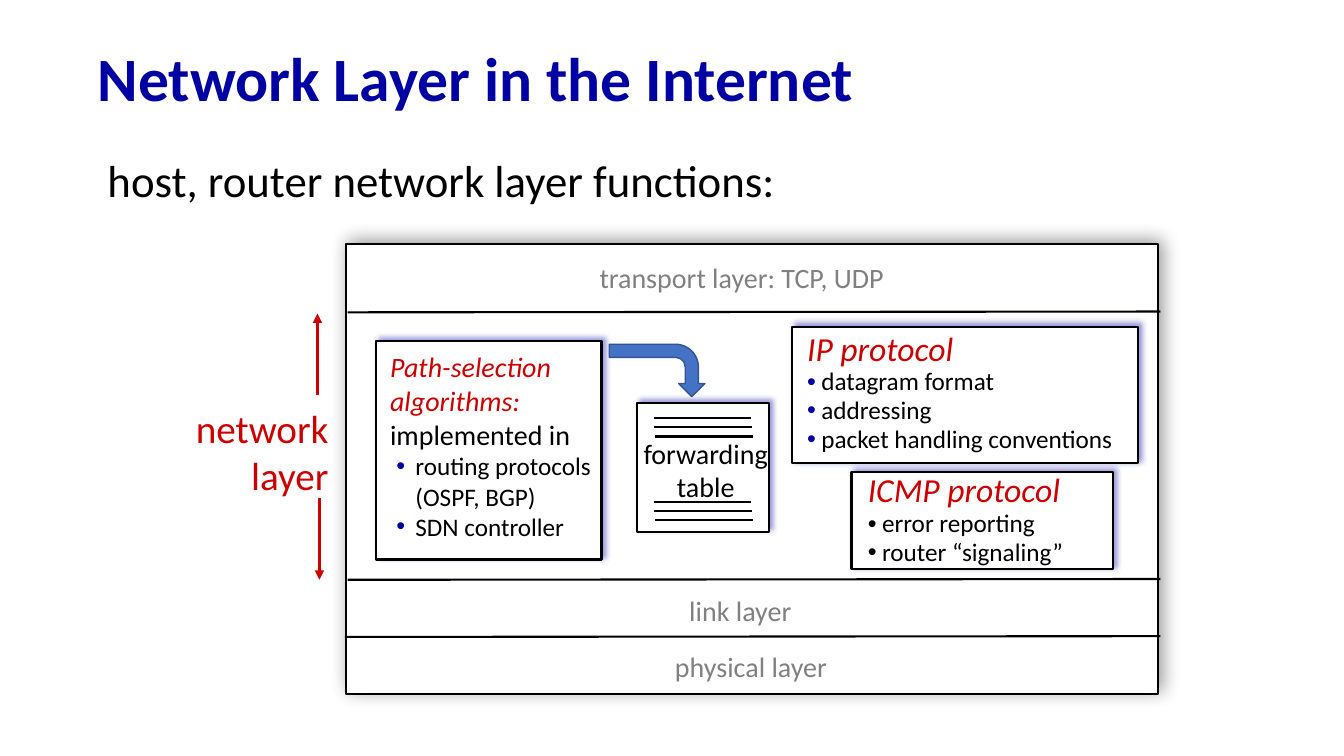
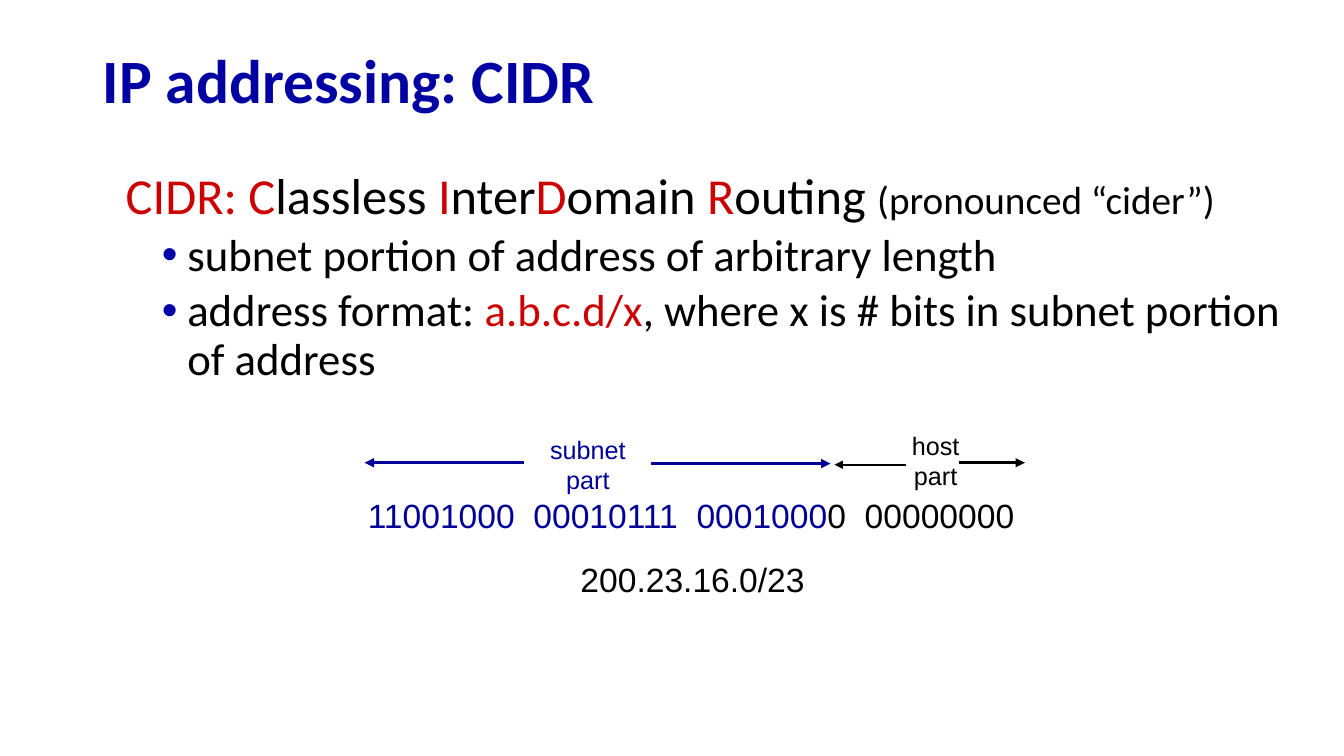
from dataclasses import dataclass

from lxml import etree
from pptx import Presentation
from pptx.dml.color import RGBColor
from pptx.enum.shapes import MSO_CONNECTOR, MSO_SHAPE
from pptx.enum.text import MSO_ANCHOR, MSO_AUTO_SIZE, PP_ALIGN
from pptx.oxml.ns import qn
from pptx.util import Cm, Pt

RECT = MSO_SHAPE.RECTANGLE
BENT = MSO_SHAPE.BENT_ARROW
STRAIGHT = MSO_CONNECTOR.STRAIGHT
MIDDLE = MSO_ANCHOR.MIDDLE
GROW = MSO_AUTO_SIZE.SHAPE_TO_FIT_TEXT
CENTER = PP_ALIGN.CENTER
RIGHT = PP_ALIGN.RIGHT


@dataclass(frozen=True)
class Theme:
    font: str = "Calibri"
    mono: str = "Arial"
    black: str = "000000"
    white: str = "FFFFFF"
    navy: str = "0000A3"
    dot: str = "0000A8"
    blue: str = "000099"
    red: str = "CC0000"
    gray: str = "808080"
    arrow: str = "4472C4"
    edge: str = "325491"
    title: int = 44
    lead: int = 36
    body: int = 32
    label: int = 28
    head: int = 24
    note: int = 20
    small: int = 18
    thin: float = 1.5
    thick: float = 2.25


T = Theme()


@dataclass
class Para:
    runs: list
    left: float = 0
    hang: float = 0
    dot: str = ""
    lead: float = 1.0
    before: int = 0
    align: object = None


def child(parent, tag, **attrs):
    node = etree.SubElement(parent, qn(tag))
    for name, value in attrs.items():
        node.set(name, str(value))
    return node


class Deck:
    def __init__(self):
        self.prs = Presentation()
        self.prs.slide_width, self.prs.slide_height = Cm(33.87), Cm(19.05)
        self.slide = None

    def page(self, title, left, top):
        self.slide = self.prs.slides.add_slide(self.prs.slide_layouts[6])
        para = Para([(title, T.title, T.navy, "b")], lead=0.9)
        frame = self.text(left, top, 29.21, 2.49, [para])
        frame.vertical_anchor = MIDDLE

    def text(self, left, top, width, height, paras, wrap=True, font=T.font):
        box = self.slide.shapes.add_textbox(Cm(left), Cm(top), Cm(width), Cm(height))
        frame = box.text_frame
        frame.word_wrap = wrap
        if not wrap:
            frame.auto_size = GROW
        for i, item in enumerate(paras):
            para = frame.add_paragraph() if i else frame.paragraphs[0]
            self.fill(para, item, font)
        return frame

    def fill(self, para, item, font):
        para.line_spacing = item.lead
        para.space_before = Pt(item.before)
        if item.align is not None:
            para.alignment = item.align
        props = para._p.get_or_add_pPr()
        props.set("marL", str(Cm(item.left)))
        props.set("indent", str(Cm(-item.hang)))
        if item.dot:
            child(child(props, "a:buClr"), "a:srgbClr", val=item.dot)
            child(props, "a:buFont", typeface=T.mono)
            child(props, "a:buChar", char="•")
        for words, size, color, *mark in item.runs:
            run = para.add_run()
            run.text = words
            run.font.name = font
            run.font.size = Pt(size)
            run.font.color.rgb = RGBColor.from_string(color)
            run.font.bold = "b" in mark
            run.font.italic = "i" in mark

    def shape(self, kind, left, top, width, height, fill, edge, weight):
        shape = self.slide.shapes.add_shape(kind, Cm(left), Cm(top), Cm(width), Cm(height))
        shape.shadow.inherit = False
        shape.fill.solid()
        shape.fill.fore_color.rgb = RGBColor.from_string(fill)
        shape.line.color.rgb = RGBColor.from_string(edge)
        shape.line.width = Pt(weight)
        return shape

    def box(self, left, top, width, height, glow=T.navy, blur=4):
        shape = self.shape(RECT, left, top, width, height, T.white, T.black, T.thin)
        effect = shape._element.spPr.find(qn("a:effectLst"))
        cast = child(effect, "a:outerShdw", blurRad=Pt(blur), dist=Pt(3),
                     dir=315 * 60000, algn="bl", rotWithShape=0)
        child(child(cast, "a:srgbClr", val=glow), "a:alpha", val=40000)

    def line(self, x1, y1, x2, y2, color=T.black, weight=T.thin, tip=False):
        line = self.slide.shapes.add_connector(STRAIGHT, Cm(x1), Cm(y1), Cm(x2), Cm(y2))
        line.line.color.rgb = RGBColor.from_string(color)
        line.line.width = Pt(weight)
        if tip:
            child(line.line._get_or_add_ln(), "a:tailEnd", type="triangle")
        child(line._element.spPr, "a:effectLst")


def bullets(items, dot):
    return [Para([(item, T.small, T.black)], 0.36, 0.36, dot, 0.95) for item in items]


def stack(words, size, color, align):
    return [Para([(word, size, color)], align=align) for word in words]


def layers(deck):
    deck.page("Network Layer in the Internet", 2.21, 0.81)
    deck.box(8.71, 6.15, 20.47, 11.33, T.black, 13)
    lead = Para([("host, router network layer functions:", T.body, T.black)],
                0.97, 0.97, lead=0.85, before=6)
    deck.text(2.46, 3.94, 20.93, 1.22, [lead])
    for left, top in ((8.76, 7.87), (8.76, 14.61), (8.69, 16.05)):
        deck.line(left, top, 29.24, top - 0.02)
    for name, left, top, width in (
        ("transport layer: TCP, UDP", 14.86, 6.45, 7.87),
        ("link layer", 17.12, 14.83, 3.12),
        ("physical layer", 16.76, 16.23, 4.42),
    ):
        deck.text(left, top, width, 1.12, [Para([(name, T.note, T.gray)])], False)

    deck.box(19.96, 8.23, 8.71, 3.45)
    items = ("datagram format", "addressing", "packet handling conventions")
    deck.text(20.09, 8.13, 8.46, 3.48,
              [Para([("IP protocol", T.head, T.red, "i")])] + bullets(items, T.navy), False)
    deck.box(21.46, 11.89, 6.6, 2.46)
    items = ("error reporting", "router “signaling”")
    deck.text(21.62, 11.76, 6.83, 2.69,
              [Para([("ICMP protocol", T.head, T.red, "i")], lead=0.95)]
              + bullets(items, T.black))

    deck.text(4.62, 10.06, 3.91, 2.64,
              stack(("network", "layer"), T.label, T.red, RIGHT), False)
    deck.line(8, 9.96, 8, 7.9, T.red, T.thick, True)
    deck.line(8.05, 12.55, 8.05, 14.61, T.red, T.thick, True)

    deck.box(16.05, 10.16, 3.33, 3.25)
    deck.text(15.93, 10.87, 3.71, 1.96,
              stack(("forwarding", "table"), T.note, T.black, CENTER), False)
    for top in (10.54, 12.65):
        for i in range(3):
            left, row = 16.47 + 0.02 * i, top + 0.23 * i
            deck.line(left, row, left + 2.46, row)

    deck.box(9.47, 8.59, 5.69, 5.51)
    head = Para([("Path-selection algorithms: ", T.note, T.red, "i"),
                 ("implemented in", T.note, T.black)])
    items = ("routing protocols (OSPF, BGP)", "SDN controller")
    deck.text(9.58, 8.69, 5.89, 5.13,
              [head] + [Para([(item, T.small, T.black)], 0.64, 0.48, T.navy)
                        for item in items])
    bend = deck.shape(BENT, 15.9, 8.13, 1.32, 2.41, T.arrow, T.edge, 1)
    bend.rotation = 90


def cidr(deck):
    deck.page("IP addressing: CIDR", 2.34, 0.86)
    parts = (("CIDR: C", T.red), ("lassless ", T.black), ("I", T.red), ("nter", T.black),
             ("D", T.red), ("omain ", T.black), ("R", T.red), ("outing ", T.black))
    runs = [(words, T.lead, color) for words, color in parts]
    runs.append(("(pronounced “cider”)", T.label, T.black))
    points = (
        [("subnet portion of address of arbitrary length", T.body, T.black)],
        [("address format: ", T.body, T.black), ("a.b.c.d/x", T.body, T.red),
         (", where x is # bits in subnet portion of address", T.body, T.black)],
    )
    deck.text(2.54, 4.19, 30.81, 5.77,
              [Para(runs, 0.99, 0.61, lead=0.9, before=10)]
              + [Para(point, 1.93, 0.64, T.dot, 0.9, 5) for point in points])

    bits = Para([("11001000  00010111  0001000", T.head, T.blue),
                 ("0  00000000", T.head, T.black)])
    deck.text(9.02, 12.34, 17.02, 1.27, [bits], False, T.mono)
    deck.text(14.38, 13.97, 6.17, 1.27,
              [Para([("200.23.16.0/23", T.head, T.black)])], False, T.mono)
    for name, color, left, top, width in (
        ("subnet", T.blue, 13.61, 10.82, 2.41),
        ("host", T.black, 22.73, 10.72, 1.7),
    ):
        deck.text(left, top, width, 1.78,
                  stack((name, "part"), T.small, color, CENTER), False, T.mono)
    for start, end, top, color, weight in (
        (13.21, 9.19, 11.66, T.blue, T.thick),
        (16.41, 20.93, 11.68, T.blue, T.thick),
        (22.83, 21.03, 11.71, T.black, T.thin),
        (24.18, 25.83, 11.66, T.black, T.thick),
    ):
        deck.line(start, top, end, top, color, weight, True)


def main():
    deck = Deck()
    layers(deck)
    cidr(deck)
    deck.prs.save("out.pptx")


if __name__ == "__main__":
    main()
